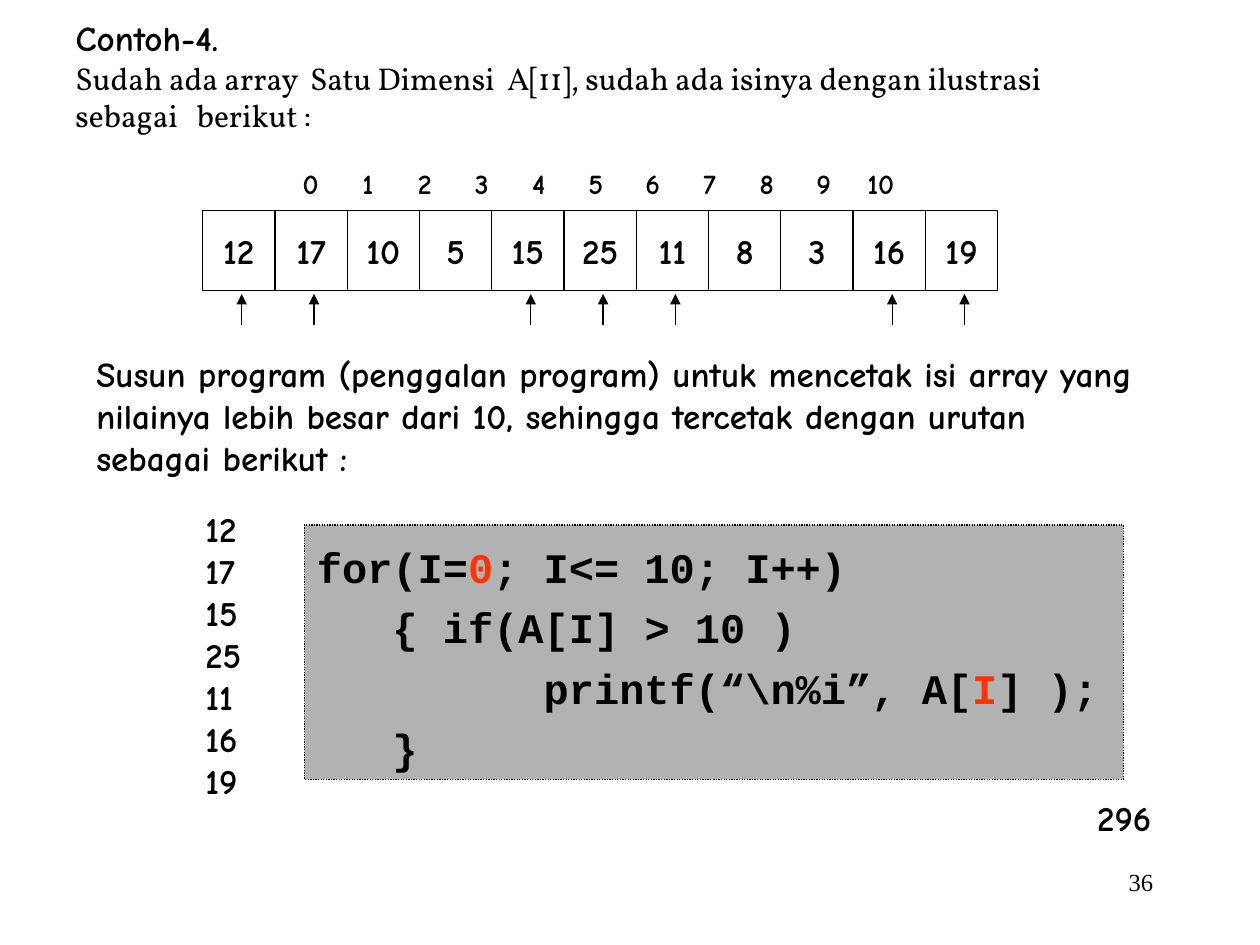
from dataclasses import dataclass

from lxml import etree
from pptx import Presentation
from pptx import util as u
from pptx.dml.color import RGBColor
from pptx.enum import dml, shapes, text
from pptx.oxml import ns

Pt = u.Pt


@dataclass(frozen=True)
class Theme:
    """Colours, fonts and type sizes of the slide."""
    ink: str = "000000"
    accent: str = "FF3300"
    panel: str = "B2B2B2"
    hand: str = "Comic Neue"
    serif: str = "Vollkorn"
    mono: str = "Courier New"
    footer: str = "Times New Roman"
    body: int = 20
    intro: int = 18
    index: int = 16
    code: int = 24
    number: int = 14
    line: float = 0.75


THEME = Theme()
VALUES = [12, 17, 10, 5, 15, 25, 11, 8, 3, 16, 19]
LIMIT = 10
ROW_LEFT, ROW_TOP, CELL_WIDTH, CELL_HEIGHT = 115.8, 120.2, 41.3, 46
CODE = [
    (0, [("for(I=", False), ("0", True), ("; I<= 10; I++)", False)]),
    (3, [("{ if(A[I] > 10 )", False)]),
    (9, [("printf(“\\n%i”, A[", False), ("I", True), ("] );", False)]),
    (3, [("}", False)]),
]


def style_run(run, font=THEME.hand, size=THEME.body, bold=True, color=THEME.ink):
    """Give a run its font, size, weight and colour."""
    run.font.name = font
    run.font.size = Pt(size)
    run.font.bold = bold
    run.font.color.rgb = RGBColor.from_string(color)


def write(shape, content, align=text.PP_ALIGN.LEFT, anchor=text.MSO_ANCHOR.TOP, **style):
    """Fill a shape with uniformly styled text."""
    frame = shape.text_frame
    frame.word_wrap = True
    frame.vertical_anchor = anchor
    frame.text = content
    for paragraph in frame.paragraphs:
        paragraph.alignment = align
        for run in paragraph.runs:
            style_run(run, **style)


def add_text(slide, left, top, width, height, content, **style):
    """Add a text box with styled text."""
    box = slide.shapes.add_textbox(Pt(left), Pt(top), Pt(width), Pt(height))
    write(box, content, **style)
    return box


def add_title(slide, content):
    """Move and format the title placeholder."""
    title = slide.shapes.title
    title.left, title.top, title.width, title.height = Pt(36), Pt(6), Pt(126), Pt(31.5)
    write(title, content)


def add_box(slide, left, top, width, height):
    """Add an unfilled rectangle with a thin outline."""
    box = slide.shapes.add_shape(
        shapes.MSO_SHAPE.RECTANGLE, Pt(left), Pt(top), Pt(width), Pt(height))
    box.shadow.inherit = False
    box.fill.background()
    box.line.color.rgb = RGBColor.from_string(THEME.ink)
    box.line.width = Pt(THEME.line)
    return box


def add_arrow(slide, x, start, end):
    """Add a vertical arrow pointing at its end."""
    arrow = slide.shapes.add_connector(
        shapes.MSO_CONNECTOR.STRAIGHT, Pt(x), Pt(start), Pt(x), Pt(end))
    arrow.line.color.rgb = RGBColor.from_string(THEME.ink)
    arrow.line.width = Pt(THEME.line)
    etree.SubElement(arrow.line._get_or_add_ln(), ns.qn("a:tailEnd"), type="triangle")
    etree.SubElement(arrow._element.spPr, ns.qn("a:effectLst"))


def add_indices(slide):
    """Add the row of array indices on evenly spaced centred tabs."""
    content = "".join(f"\t{index}" for index in range(len(VALUES)))
    row = add_text(slide, 154.8, 91.4, 380, 26.6, content, size=THEME.index)
    properties = row.text_frame.paragraphs[0]._p.get_or_add_pPr()
    tabs = etree.SubElement(properties, ns.qn("a:tabLst"))
    for index in range(len(VALUES)):
        etree.SubElement(tabs, ns.qn("a:tab"), pos=str(Pt(15.7 + 32.57 * index)), algn="ctr")


def add_array(slide):
    """Add the array cells and an arrow under each value above the limit."""
    for index, value in enumerate(VALUES):
        left = ROW_LEFT + index * CELL_WIDTH
        cell = add_box(slide, left, ROW_TOP, CELL_WIDTH, CELL_HEIGHT)
        write(cell, str(value), align=text.PP_ALIGN.CENTER, anchor=text.MSO_ANCHOR.MIDDLE)
        if value > LIMIT:
            add_arrow(slide, left + CELL_WIDTH / 2 + 1.7, 186, 168)


def add_code(slide):
    """Add the code panel with indented lines and highlighted parts."""
    panel = add_box(slide, 174, 300, 468, 145.4)
    panel.fill.solid()
    panel.fill.fore_color.rgb = RGBColor.from_string(THEME.panel)
    panel.line.dash_style = dml.MSO_LINE.ROUND_DOT
    frame = panel.text_frame
    frame.word_wrap = True
    frame.vertical_anchor = text.MSO_ANCHOR.TOP
    frame.text = "\n".join("" for _ in CODE)
    for paragraph, (indent, parts) in zip(frame.paragraphs, CODE):
        paragraph.alignment = text.PP_ALIGN.LEFT
        paragraph.line_spacing = 1.2
        paragraph._p.get_or_add_pPr().set("marL", str(Pt(indent * THEME.code * 0.6)))
        for content, highlighted in parts:
            run = paragraph.add_run()
            run.text = content
            style_run(run, THEME.mono, THEME.code,
                      color=THEME.accent if highlighted else THEME.ink)


def main():
    """Build the slide and save it."""
    deck = Presentation()
    deck.slide_width, deck.slide_height = Pt(720), Pt(540)
    slide = deck.slides.add_slide(deck.slide_layouts[5])
    add_title(slide, "Contoh-4.")
    add_text(slide, 36, 30, 600, 50.4,
             "Sudah ada array  Satu Dimensi  A[11], sudah ada isinya dengan ilustrasi "
             "sebagai   berikut :", font=THEME.serif, size=THEME.intro, bold=False)
    add_indices(slide)
    add_array(slide)
    add_text(slide, 48, 198, 612, 79.2,
             "Susun program (penggalan program) untuk mencetak isi array yang nilainya "
             "lebih besar dari 10, sehingga tercetak dengan urutan sebagai berikut :")
    printed = "\n".join(str(value) for value in VALUES if value > LIMIT)
    add_text(slide, 110.2, 286.6, 40, 175.7, printed)
    add_code(slide)
    add_text(slide, 619.9, 451.4, 50, 31.7, "296")
    add_text(slide, 516, 492, 150, 36, "36", align=text.PP_ALIGN.RIGHT,
             font=THEME.footer, size=THEME.number, bold=False)
    deck.save("out.pptx")


if __name__ == "__main__":
    main()
